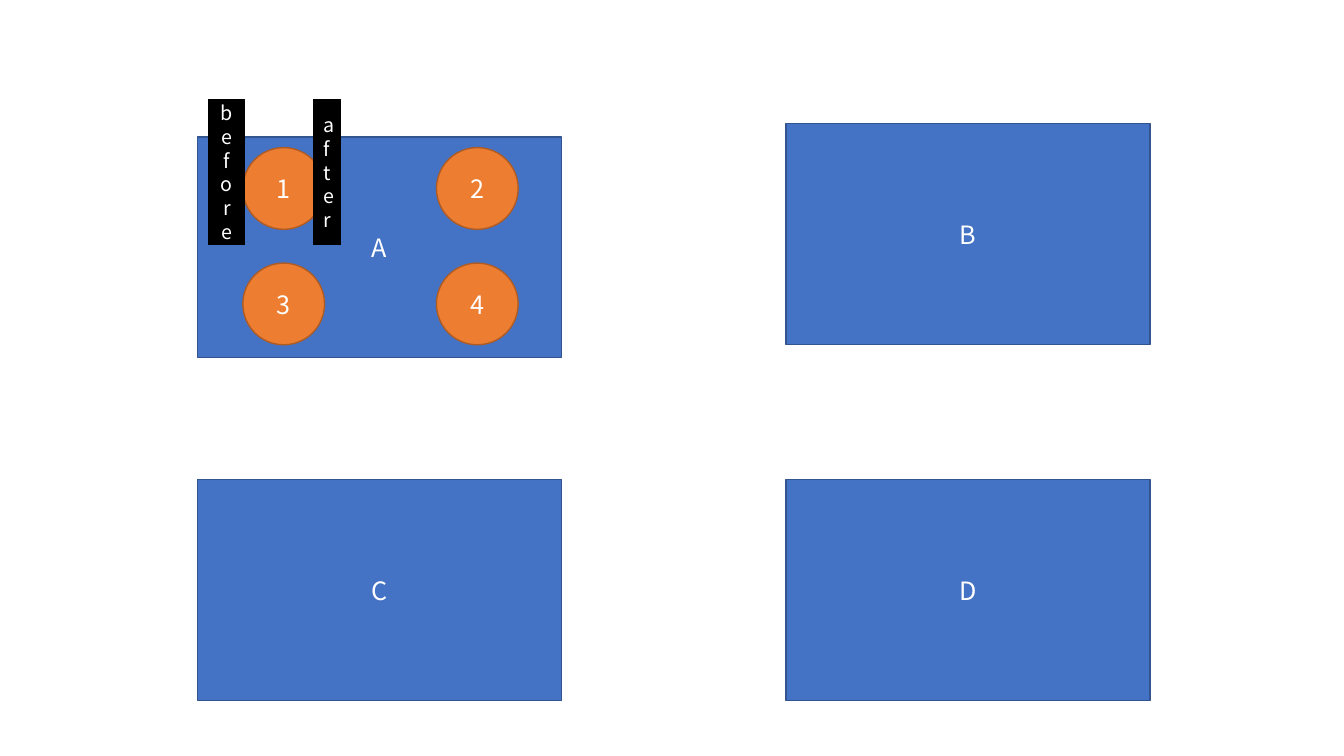
from dataclasses import dataclass

from pptx import Presentation
from pptx.dml.color import RGBColor
from pptx.enum.shapes import MSO_SHAPE as Preset
from pptx.enum.text import MSO_ANCHOR as Anchor, PP_ALIGN as Align
from pptx.shapes.autoshape import Shape
from pptx.slide import Slide
from pptx.text.text import TextFrame
from pptx.util import Cm, Pt

FONT = "Noto Sans CJK JP"
WHITE = RGBColor(0xFF, 0xFF, 0xFF)
BLACK = RGBColor(0x00, 0x00, 0x00)
BLUE = RGBColor(0x44, 0x72, 0xC4)
DARK_BLUE = RGBColor(0x32, 0x54, 0x91)
ORANGE = RGBColor(0xED, 0x7D, 0x31)
DARK_ORANGE = RGBColor(0xAF, 0x5C, 0x24)


@dataclass(frozen=True)
class Style:
    preset: Preset
    fill: RGBColor
    outline: RGBColor
    size: float = 18
    spacing: float | None = None


@dataclass(frozen=True)
class Item:
    text: str
    left: float
    top: float
    width: float
    height: float
    style: Style


PANEL = Style(Preset.RECTANGLE, BLUE, DARK_BLUE)
CIRCLE = Style(Preset.OVAL, ORANGE, DARK_ORANGE)
LABEL = Style(Preset.RECTANGLE, BLACK, BLACK, size=14, spacing=16.9)

PANEL_LEFTS = (4.98, 19.81)
PANEL_TOPS = (3.45, 3.12, 12.09, 12.09)
CIRCLE_LEFTS = (6.12, 11)
CIRCLE_TOPS = (3.72, 6.63)
CIRCLE_SIZE = 2.06

PANELS = [
    Item(letter, PANEL_LEFTS[i % 2], top, 9.17, 5.56, PANEL)
    for i, (letter, top) in enumerate(zip("ABCD", PANEL_TOPS))
]
CIRCLES = [
    Item(number, CIRCLE_LEFTS[i % 2], CIRCLE_TOPS[i // 2], CIRCLE_SIZE, CIRCLE_SIZE, CIRCLE)
    for i, number in enumerate("1234")
]
LABELS = [
    Item("before", 5.26, 2.51, 0.91, 3.66, LABEL),
    Item("after", 7.9, 2.51, 0.69, 3.66, LABEL),
]


def write_text(frame: TextFrame, text: str, *, size: float, color: RGBColor = WHITE,
               spacing: float | None = None) -> None:
    frame.word_wrap = True
    frame.vertical_anchor = Anchor.MIDDLE
    paragraph = frame.paragraphs[0]
    paragraph.alignment = Align.CENTER
    if spacing is not None:
        paragraph.line_spacing = Pt(spacing)
    run = paragraph.add_run()
    run.text = text
    run.font.name = FONT
    run.font.size = Pt(size)
    run.font.color.rgb = color


def draw(slide: Slide, item: Item) -> Shape:
    style = item.style
    shape = slide.shapes.add_shape(
        style.preset, Cm(item.left), Cm(item.top), Cm(item.width), Cm(item.height))
    shape.shadow.inherit = False
    shape.fill.solid()
    shape.fill.fore_color.rgb = style.fill
    shape.line.color.rgb = style.outline
    shape.line.width = Pt(1)
    write_text(shape.text_frame, item.text, size=style.size, spacing=style.spacing)
    return shape


def main() -> None:
    presentation = Presentation()
    presentation.slide_width = Cm(33.87)
    presentation.slide_height = Cm(19.05)
    slide = presentation.slides.add_slide(presentation.slide_layouts[6])
    for item in PANELS + CIRCLES + LABELS:
        draw(slide, item)
    presentation.save("out.pptx")


if __name__ == "__main__":
    main()
